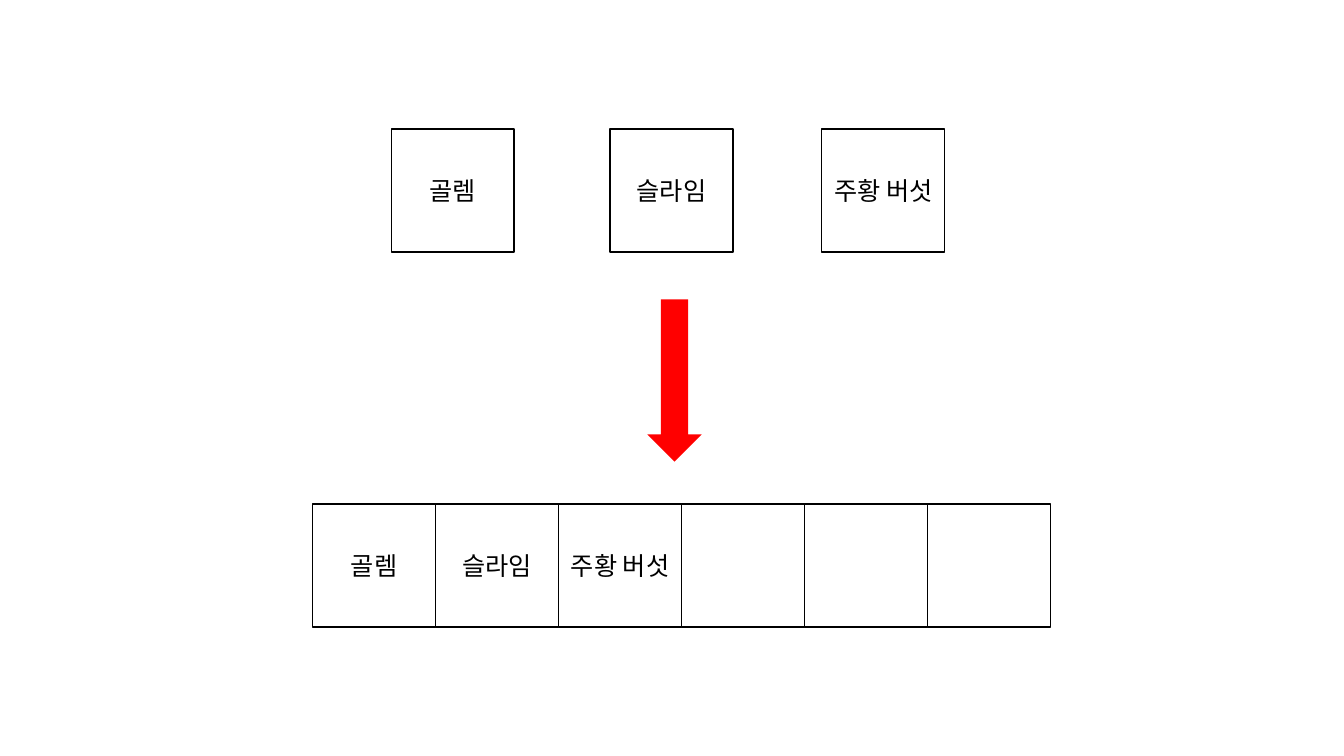
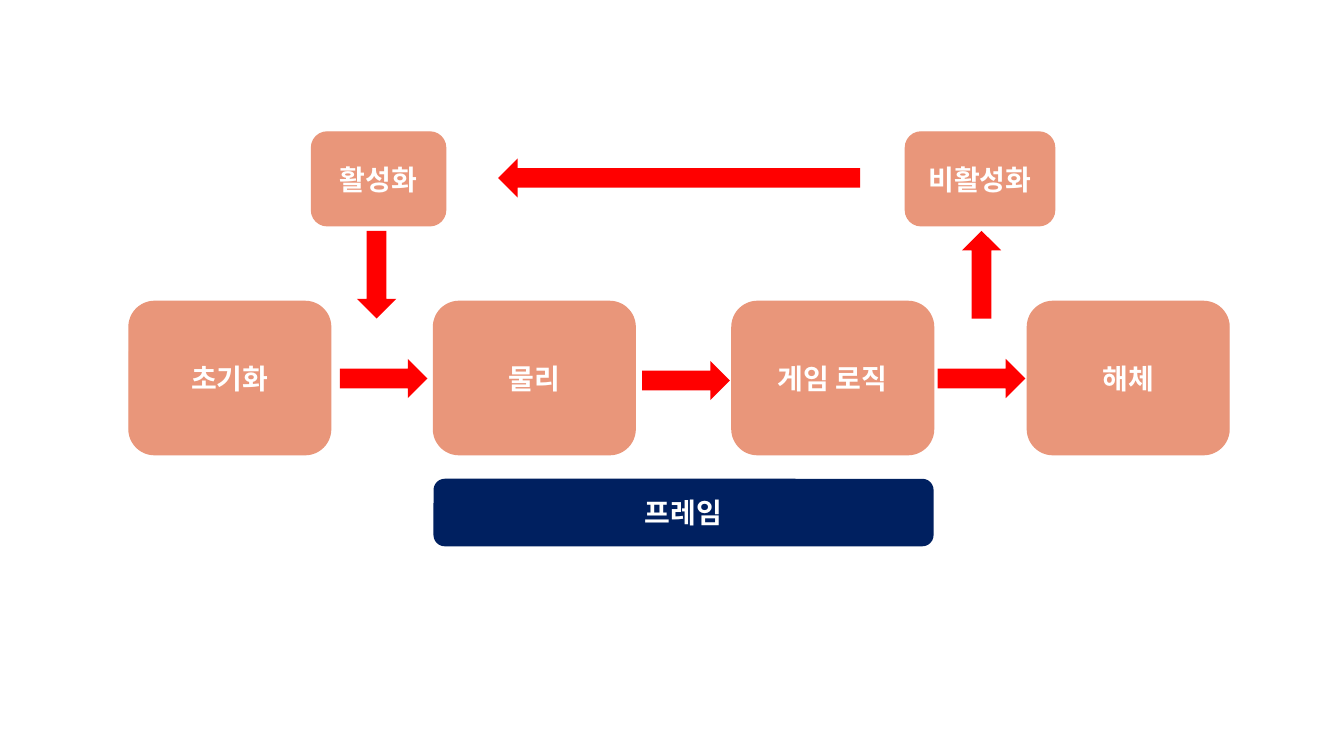
import pptx
import pptx.dml.color
import pptx.enum.shapes
import pptx.enum.text
import pptx.util

Inches = pptx.util.Inches
Pt = pptx.util.Pt
RGBColor = pptx.dml.color.RGBColor
SHAPE = pptx.enum.shapes.MSO_SHAPE

BLACK = RGBColor(0x00, 0x00, 0x00)
WHITE = RGBColor(0xFF, 0xFF, 0xFF)
RED = RGBColor(0xFF, 0x00, 0x00)
SALMON = RGBColor(0xE9, 0x96, 0x7A)
NAVY = RGBColor(0x00, 0x20, 0x60)
FONT = "Calibri"


def add_block(slide, kind, box, fill=None, line=None):
    """Add a shadowless shape; without a fill or line colour that part is clear."""
    block = slide.shapes.add_shape(kind, *map(Inches, box))
    block.shadow.inherit = False
    if fill is None:
        block.fill.background()
    else:
        block.fill.solid()
        block.fill.fore_color.rgb = fill
    if line is None:
        block.line.fill.background()
    else:
        block.line.color.rgb = line
        block.line.width = Pt(1)
    return block


def write_label(block, label, size, color, bold=False):
    frame = block.text_frame
    frame.word_wrap = False
    frame.vertical_anchor = pptx.enum.text.MSO_ANCHOR.MIDDLE
    paragraph = frame.paragraphs[0]
    paragraph.text = label
    paragraph.alignment = pptx.enum.text.PP_ALIGN.CENTER
    paragraph.font.name = FONT
    paragraph.font.size = Pt(size)
    paragraph.font.bold = bold
    paragraph.font.color.rgb = color


deck = pptx.Presentation()
deck.slide_width = Inches(13.33)
deck.slide_height = Inches(7.5)
blank = deck.slide_layouts[6]

# Slide 1: monsters gathered into an array
array_slide = deck.slides.add_slide(blank)
CELL = 1.22
SLOTS = 6
monsters = ["골렘", "슬라임", "주황 버섯"]

cells = [(left, 1.28, name) for left, name in zip([3.88, 6.05, 8.15], monsters)]
slot_names = monsters + [None] * (SLOTS - len(monsters))
cells += [(3.1 + i * CELL, 5, name) for i, name in enumerate(slot_names)]
for left, top, name in cells:
    cell = add_block(array_slide, SHAPE.RECTANGLE, (left, top, CELL, CELL), line=BLACK)
    if name:
        write_label(cell, name, 18, BLACK)

add_block(array_slide, SHAPE.DOWN_ARROW, (6.42, 2.97, 0.54, 1.61), fill=RED)

# Slide 2: life cycle of a frame
cycle_slide = deck.slides.add_slide(blank)
STAGE_TOP, STAGE_WIDTH, STAGE_HEIGHT = 2.99, 2, 1.52
SWITCH_TOP, SWITCH_HEIGHT = 1.31, 0.93
ARROW_LENGTH, ARROW_BREADTH = 0.87, 0.39

stages = [("초기화", 1.28), ("물리", 4.3), ("게임 로직", 7.26), ("해체", 10.19)]
steps = [(label, (left, STAGE_TOP, STAGE_WIDTH, STAGE_HEIGHT), SALMON, SALMON)
         for label, left in stages]
steps += [
    ("프레임", (4.3, 4.75, 4.96, 0.67), NAVY, None),
    ("활성화", (3.09, SWITCH_TOP, 1.33, SWITCH_HEIGHT), SALMON, SALMON),
    ("비활성화", (8.98, SWITCH_TOP, 1.48, SWITCH_HEIGHT), SALMON, SALMON),
]
for label, box, fill, line in steps:
    step = add_block(cycle_slide, SHAPE.ROUNDED_RECTANGLE, box, fill, line)
    write_label(step, label, 20, WHITE, bold=True)

arrows = [(SHAPE.RIGHT_ARROW, (left, top, ARROW_LENGTH, ARROW_BREADTH))
          for left, top in [(3.37, 3.56), (6.37, 3.58), (9.3, 3.56)]]
arrows += [
    (SHAPE.UP_ARROW, (9.54, 2.29, ARROW_BREADTH, ARROW_LENGTH)),
    (SHAPE.DOWN_ARROW, (3.54, 2.29, ARROW_BREADTH, ARROW_LENGTH)),
    (SHAPE.LEFT_ARROW, (4.94, 1.57, 3.59, ARROW_BREADTH)),
]
for kind, box in arrows:
    add_block(cycle_slide, kind, box, fill=RED)

deck.save("out.pptx")
